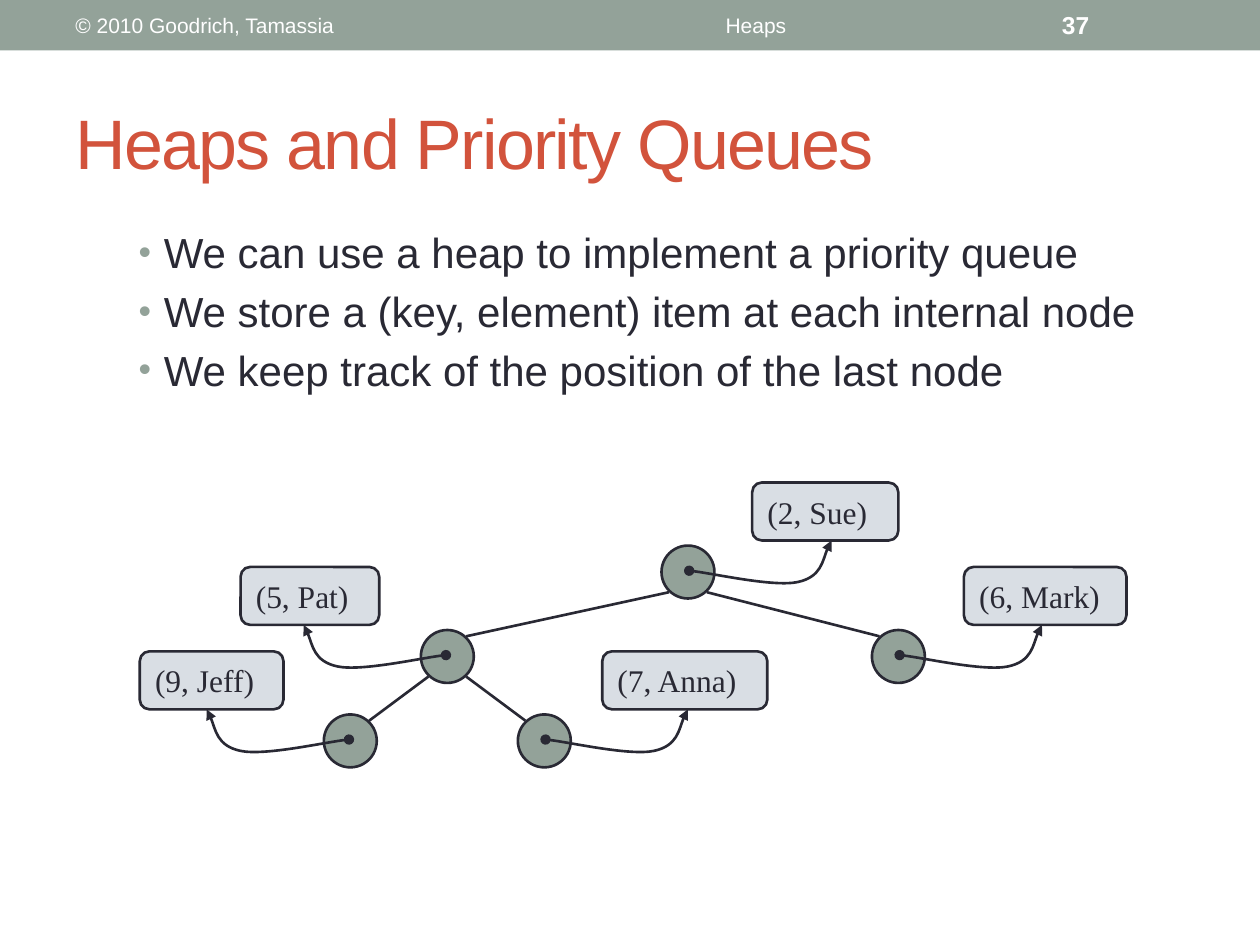
from dataclasses import dataclass
from typing import Optional

from lxml import etree
from pptx import Presentation
from pptx import util as u
from pptx.dml.color import RGBColor
from pptx.enum import shapes, text
from pptx.oxml.ns import qn


@dataclass(frozen=True)
class Theme:
    sage: str = "93A299"
    ink: str = "292934"
    red: str = "D2533C"
    mist: str = "D9DEE4"
    white: str = "FFFFFF"
    sans: str = "Arial"
    serif: str = "Times New Roman"
    title: int = 40
    body: int = 24
    label: int = 18
    number: int = 14
    header: int = 12
    line: float = 1.5


@dataclass(frozen=True)
class Node:
    x: float  # centre
    y: float
    label: str
    label_left: float
    label_width: float
    side: int  # 1: pointer goes right, -1: left
    parent: Optional[int] = None


THEME = Theme()
RADIUS = 0.21
LABEL_HEIGHT = 0.46
LABEL_RISE = 0.71  # label top above node centre
EDGE_DX, EDGE_DY = 0.15, 0.16  # where edges meet a node

NODES = [
    Node(5.46, 4.54, "(2, Sue)", 5.97, 1.16, 1),
    Node(3.55, 5.21, "(5, Pat)", 1.91, 1.10, -1, 0),
    Node(7.13, 5.21, "(6, Mark)", 7.65, 1.29, 1, 0),
    Node(2.78, 5.88, "(9, Jeff)", 1.11, 1.14, -1, 1),
    Node(4.32, 5.88, "(7, Anna)", 4.78, 1.31, 1, 1),
]
# Two Bézier segments, relative to the pointer's start
POINTER = [(0.14, 0.01), (0.67, 0.13), (0.86, 0.09),
           (1.05, 0.05), (1.08, -0.17), (1.13, -0.24)]
BULLETS = [
    "We can use a heap to implement a priority queue",
    "We store a (key, element) item at each internal node",
    "We keep track of the position of the last node",
]


def place(shape, left: float, top: float, width: float, height: float) -> None:
    shape.left, shape.top = u.Inches(left), u.Inches(top)
    shape.width, shape.height = u.Inches(width), u.Inches(height)


def add_span(para, words: str, size: int, color: str, face: str = THEME.sans,
             bold: bool = False):
    span = para.add_run()
    span.text = words
    span.font.size, span.font.name, span.font.bold = u.Pt(size), face, bold
    span.font.color.rgb = RGBColor.from_string(color)
    return span


def set_line(shape) -> None:
    shape.line.color.rgb = RGBColor.from_string(THEME.ink)
    shape.line.width = u.Pt(THEME.line)


def add_block(slide, kind, left: float, top: float, width: float, height: float,
              fill: str, outlined: bool = True):
    block = slide.shapes.add_shape(kind, u.Inches(left), u.Inches(top),
                                   u.Inches(width), u.Inches(height))
    block.shadow.inherit = False
    block.fill.solid()
    block.fill.fore_color.rgb = RGBColor.from_string(fill)
    if outlined:
        set_line(block)
    else:
        block.line.fill.background()
    return block


def add_header_text(slide, left: float, width: float, words: str, size: int,
                    align=text.PP_ALIGN.LEFT, bold: bool = False) -> None:
    box = slide.shapes.add_textbox(u.Inches(left), u.Inches(0.02),
                                   u.Inches(width), u.Inches(0.36))
    frame = box.text_frame
    frame.word_wrap = True
    frame.vertical_anchor = text.MSO_ANCHOR.MIDDLE
    para = frame.paragraphs[0]
    para.alignment = align
    add_span(para, words, size, THEME.white, bold=bold)


def fill_title(slide, words: str) -> None:
    title = slide.shapes.title
    place(title, 0.5, 0.58, 9, 1.08)
    frame = title.text_frame
    frame.auto_size = text.MSO_AUTO_SIZE.NONE
    frame.vertical_anchor = text.MSO_ANCHOR.MIDDLE
    para = frame.paragraphs[0]
    para.alignment = text.PP_ALIGN.LEFT
    span = add_span(para, words, THEME.title, THEME.red)
    span.font._element.set("spc", "-100")


def add_bullet(para) -> None:
    props = para._p.get_or_add_pPr()
    props.set("marL", str(u.Inches(0.2)))
    props.set("indent", str(u.Inches(-0.2)))
    color = etree.SubElement(props, qn("a:buClr"))
    etree.SubElement(color, qn("a:srgbClr"), val=THEME.sage)
    etree.SubElement(props, qn("a:buSzPct"), val="85000")
    etree.SubElement(props, qn("a:buFont"), typeface=THEME.sans)
    etree.SubElement(props, qn("a:buChar"), char="•")


def fill_body(slide) -> None:
    body = slide.placeholders[1]
    place(body, 1, 1.75, 8.42, 1.83)
    frame = body.text_frame
    frame.auto_size = text.MSO_AUTO_SIZE.NONE
    for i, words in enumerate(BULLETS):
        para = frame.add_paragraph() if i else frame.paragraphs[0]
        add_bullet(para)
        para.space_before = u.Pt(0.2 * THEME.body if i else 0)
        add_span(para, words, THEME.body, THEME.ink)


def add_edge(slide, parent: Node, child: Node) -> None:
    way = 1 if child.x > parent.x else -1
    edge = slide.shapes.add_connector(
        shapes.MSO_CONNECTOR.STRAIGHT,
        u.Inches(parent.x + way * EDGE_DX), u.Inches(parent.y + EDGE_DY),
        u.Inches(child.x - way * EDGE_DX), u.Inches(child.y - EDGE_DY))
    set_line(edge)
    etree.SubElement(edge._element.spPr, qn("a:effectLst"))


def add_pointer(slide, node: Node) -> None:
    x, y = node.x + 0.01 * node.side, node.y - 0.01
    builder = slide.shapes.build_freeform(u.Inches(x), u.Inches(y))
    builder.add_line_segments([(u.Inches(x + node.side * dx), u.Inches(y + dy))
                               for dx, dy in POINTER], close=False)
    pointer = builder.convert_to_shape()
    pointer.shadow.inherit = False
    pointer.fill.background()
    set_line(pointer)
    # Turn each three straight segments into one cubic curve
    steps = list(pointer._element.iter(qn("a:lnTo")))
    for start in range(0, len(steps), 3):
        curve = etree.Element(qn("a:cubicBezTo"))
        steps[start].addprevious(curve)
        for step in steps[start:start + 3]:
            curve.append(step[0])
            step.getparent().remove(step)
    stroke = pointer.line._get_or_add_ln()
    etree.SubElement(stroke, qn("a:headEnd"), type="oval")
    etree.SubElement(stroke, qn("a:tailEnd"), type="triangle")


def add_label(slide, node: Node) -> None:
    label = add_block(slide, shapes.MSO_SHAPE.ROUNDED_RECTANGLE, node.label_left,
                      node.y - LABEL_RISE, node.label_width, LABEL_HEIGHT, THEME.mist)
    label.text_frame.vertical_anchor = text.MSO_ANCHOR.MIDDLE
    para = label.text_frame.paragraphs[0]
    para.alignment = text.PP_ALIGN.LEFT
    add_span(para, node.label, THEME.label, THEME.ink, THEME.serif)


def main() -> None:
    deck = Presentation()
    deck.slide_width, deck.slide_height = u.Inches(10), u.Inches(7.5)
    slide = deck.slides.add_slide(deck.slide_layouts[1])

    # Header band
    add_block(slide, shapes.MSO_SHAPE.RECTANGLE, 0, 0, 10, 0.4, THEME.sage, False)
    add_header_text(slide, 0.5, 3.17, "© 2010 Goodrich, Tamassia", THEME.header)
    add_header_text(slide, 3.75, 4.5, "Heaps", THEME.header, text.PP_ALIGN.CENTER)
    add_header_text(slide, 8.33, 1.17, "37", THEME.number, bold=True)

    # Title and list
    fill_title(slide, "Heaps and Priority Queues")
    fill_body(slide)

    # Heap: nodes and edges below, labels and pointers above
    for node in NODES:
        add_block(slide, shapes.MSO_SHAPE.OVAL, node.x - RADIUS, node.y - RADIUS,
                  2 * RADIUS, 2 * RADIUS, THEME.sage)
        if node.parent is not None:
            add_edge(slide, NODES[node.parent], node)
    for node in NODES:
        add_label(slide, node)
        add_pointer(slide, node)

    deck.save("out.pptx")


if __name__ == "__main__":
    main()
